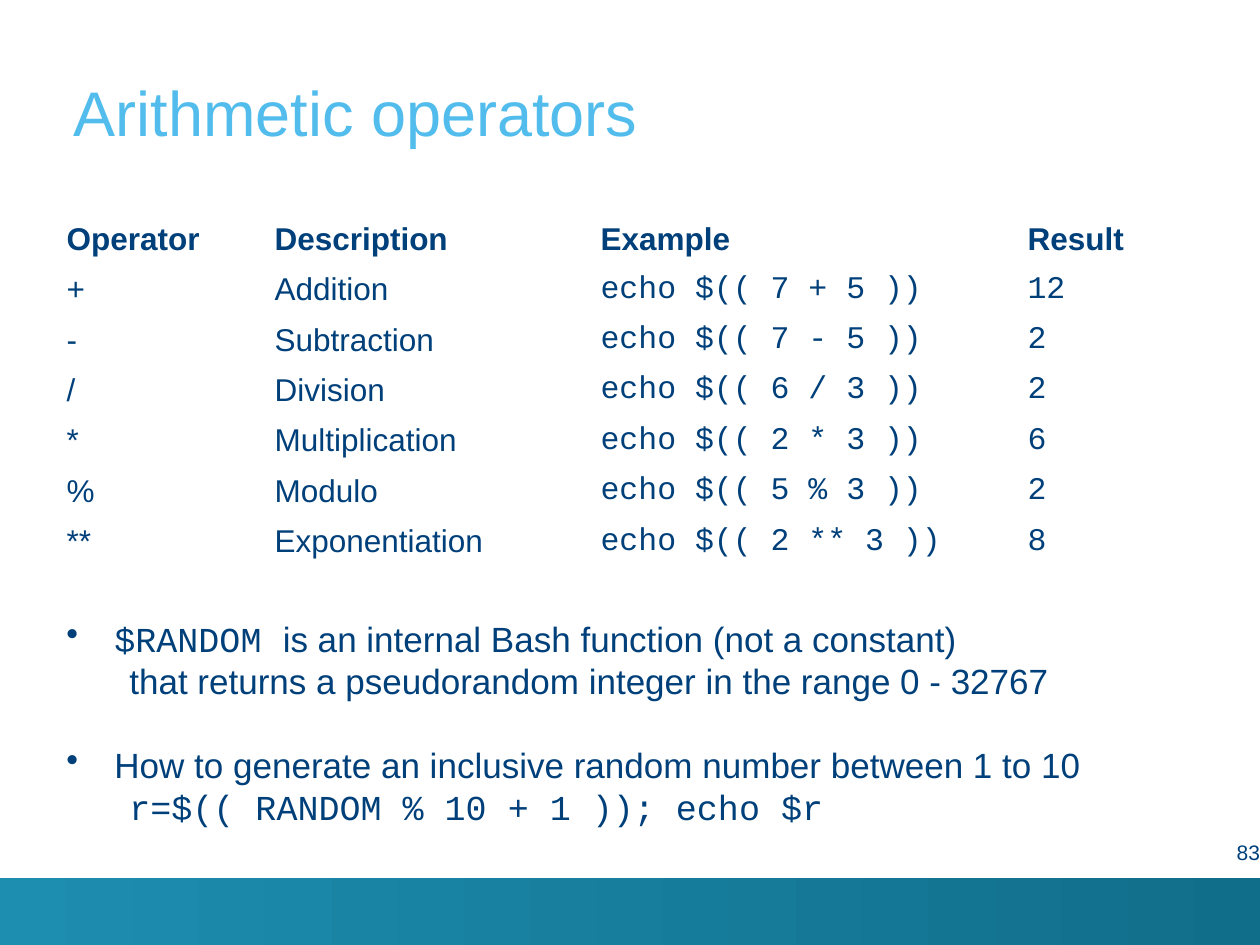
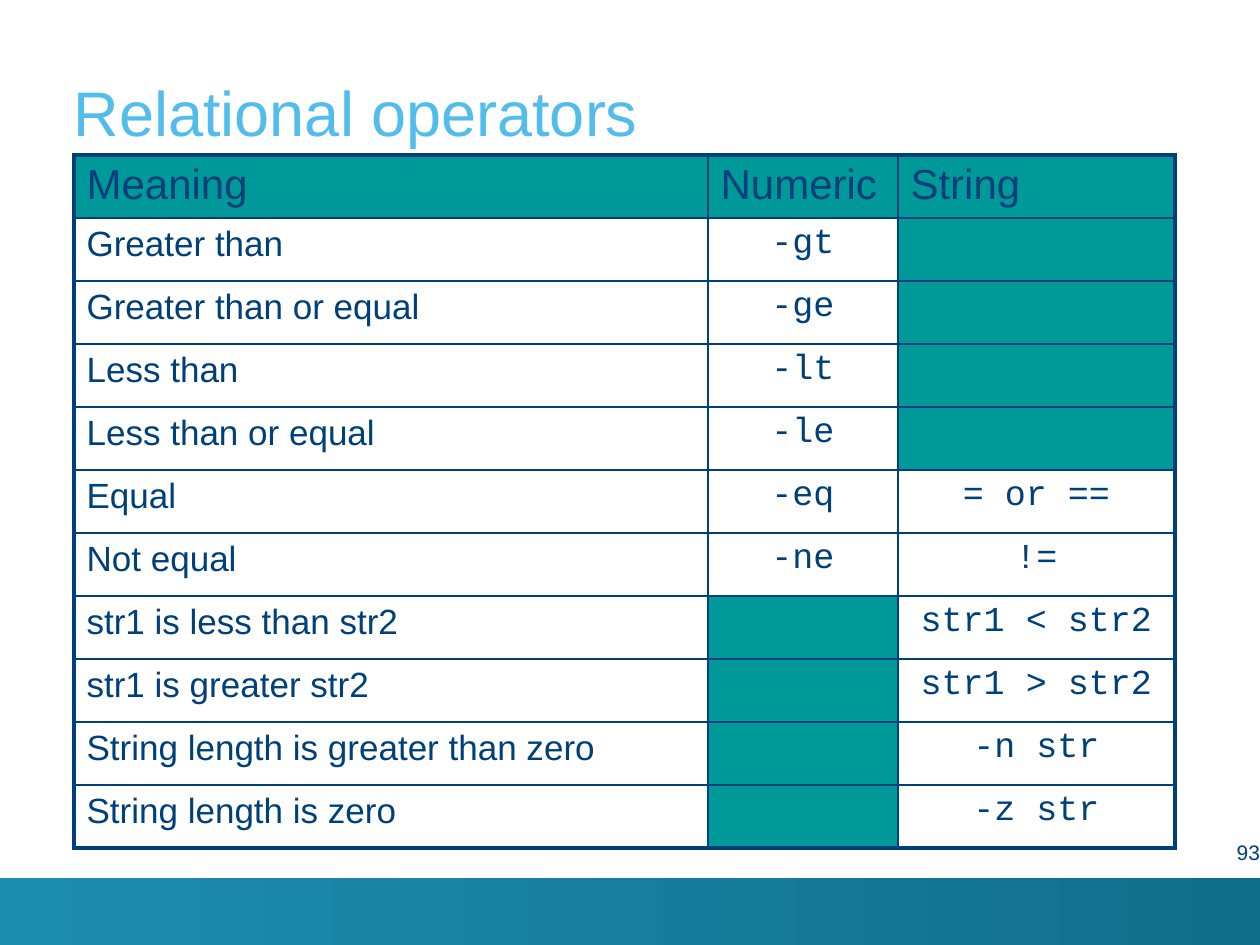
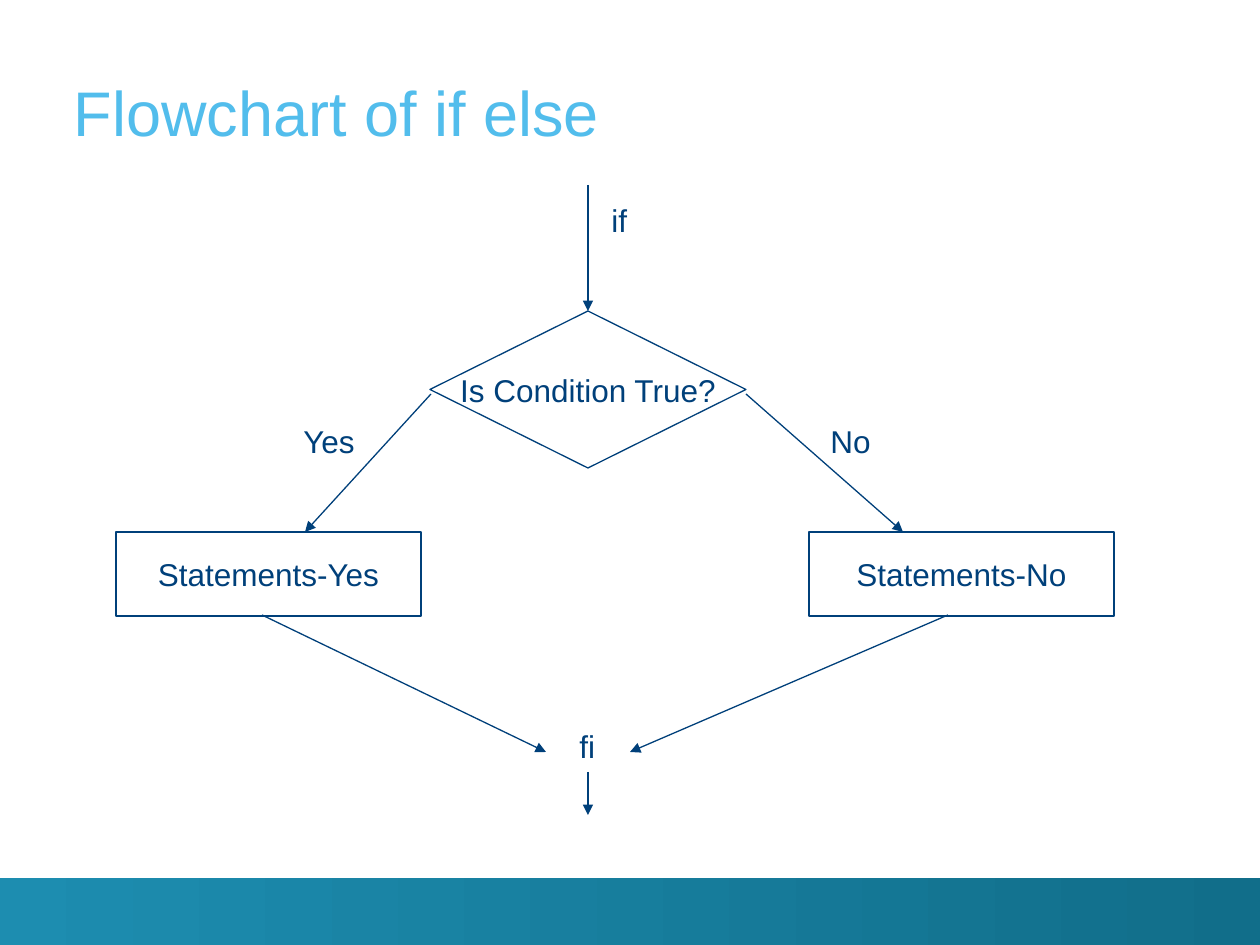
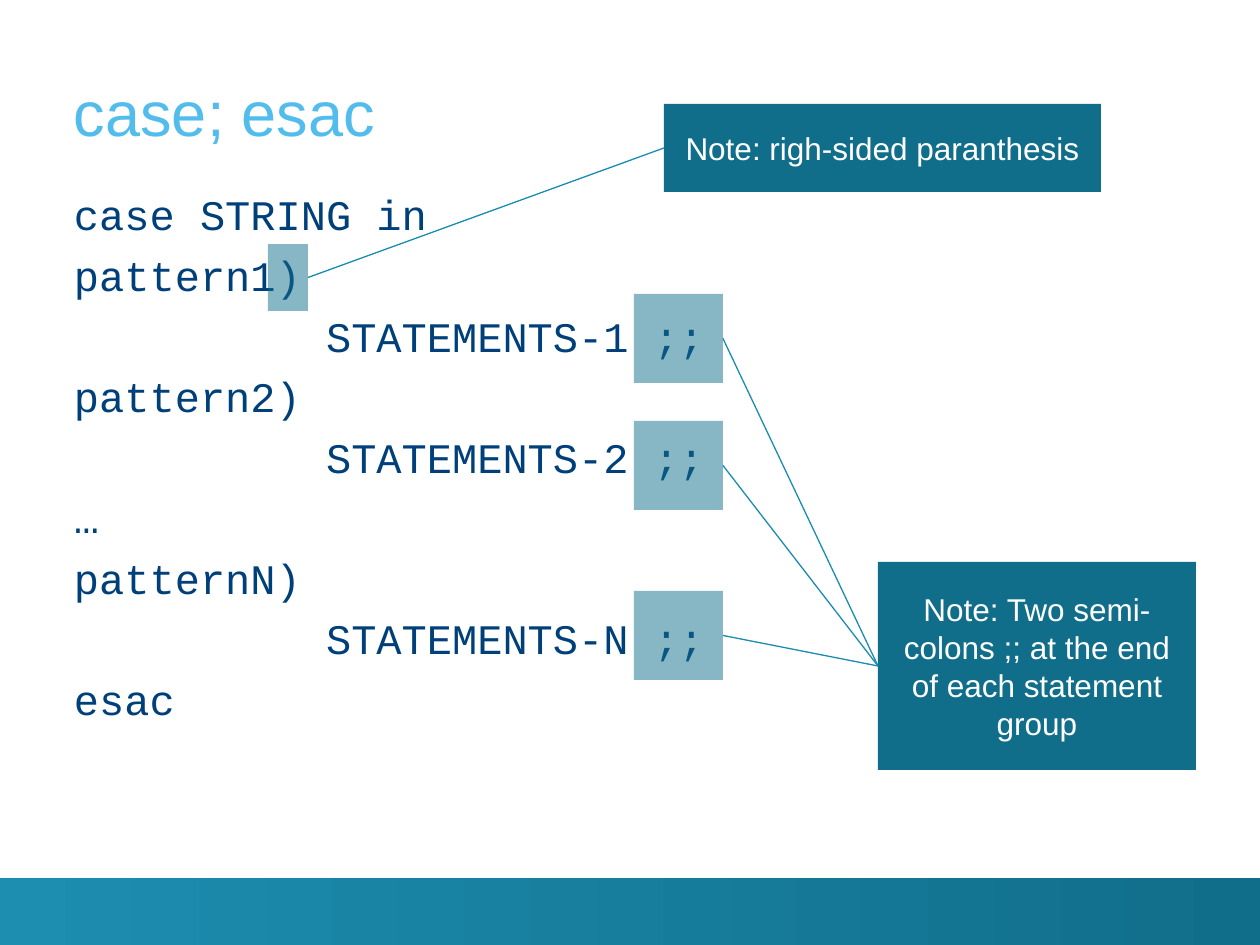
from lxml import etree
from pptx import Presentation
from pptx import util as u
from pptx.dml import color
from pptx.enum import shapes, text
from pptx.oxml import ns

NAVY, SKY, TEAL, WHITE = "00407A", "52BDEC", "009999", "FFFFFF"
OCEAN, LAGOON, THREAD = "116E8A", "1D8DB0", "198CB0"
SANS, MONO = "Arial", "Courier New"
LEFT, CENTER, RIGHT = text.PP_ALIGN.LEFT, text.PP_ALIGN.CENTER, text.PP_ALIGN.RIGHT
TOP, MIDDLE, BOTTOM = text.MSO_ANCHOR.TOP, text.MSO_ANCHOR.MIDDLE, text.MSO_ANCHOR.BOTTOM
PLAIN_TABLE = "{2D5ABB26-0587-4C30-8999-92F81FD0307C}"

PAGE = (1260, 945)
FOOTER_BAND = (0, 878, 1260, 67)
TITLE_BOX = (74, 25, 1148, 124)
NUMBER_BOX = (1131, 840, 129, 39)

BODY = {"size": u.Pt(18), "name": SANS, "bold": False}
TITLE = BODY | {"size": u.Pt(36)}
NUMBER = BODY | {"size": u.Pt(12)}
HEADING = BODY | {"bold": True}
CODE = BODY | {"name": MONO}
POINT = BODY | {"size": u.Pt(20)}
POINT_CODE = POINT | {"name": MONO}
LARGE = BODY | {"size": u.Pt(24)}
LARGE_CODE = LARGE | {"name": MONO}

ARITHMETIC = {
    "at": (54, 214),
    "columns": (208, 326, 427, 187),
    "row": 50.4,
    "rows": [
        ("Operator", "Description", "Example", "Result"),
        ("+", "Addition", "echo $(( 7 + 5 ))", "12"),
        ("-", "Subtraction", "echo $(( 7 - 5 ))", "2"),
        ("/", "Division", "echo $(( 6 / 3 ))", "2"),
        ("*", "Multiplication", "echo $(( 2 * 3 ))", "6"),
        ("%", "Modulo", "echo $(( 5 % 3 ))", "2"),
        ("**", "Exponentiation", "echo $(( 2 ** 3 ))", "8"),
    ],
}
RANDOM_BOX = (54, 611, 1081, 267)
BULLETED, CONTINUED = (48, -48, "•"), (63, 0, None)
RANDOM_POINTS = [
    (BULLETED, 0, [("$RANDOM ", POINT_CODE),
                   ("is an internal Bash function (not a constant)", POINT)]),
    (CONTINUED, 0, [("that returns a pseudorandom integer in the range 0 - 32767", POINT)]),
    (BULLETED, 24, [("How to generate an inclusive random number between 1 to 10", POINT)]),
    (CONTINUED, 0, [("r=$(( RANDOM % 10 + 1 )); echo $r", POINT_CODE)]),
]

RELATIONAL = {
    "at": (74, 155),
    "columns": (634, 190, 277),
    "row": 63,
    "rows": [
        ("Meaning", "Numeric", "String"),
        ("Greater than", "-gt", ""),
        ("Greater than or equal", "-ge", ""),
        ("Less than", "-lt", ""),
        ("Less than or equal", "-le", ""),
        ("Equal", "-eq", "= or =="),
        ("Not equal", "-ne", "!="),
        ("str1 is less than str2", "", "str1 < str2"),
        ("str1 is greater str2", "", "str1 > str2"),
        ("String length is greater than zero", "", "-n str"),
        ("String length is zero", "", "-z str"),
    ],
}

DECISION = ("Is Condition True?", (430, 311, 316, 157))
STATEMENTS = [
    ("Statements-Yes", (116, 532, 305, 84)),
    ("Statements-No", (809, 532, 305, 84)),
]
BRANCH_LABELS = [
    ("if", (599, 195, 48, 63)),
    ("fi", (567, 721, 48, 63)),
    ("Yes", (291, 416, 91, 63)),
    ("No", (818, 416, 76, 63)),
]
ENTRY_ARROW = ((588, 185), (588, 311))
FLOW_ARROWS = [
    ((431, 394), (305, 532)),
    ((746, 394), (903, 532)),
    ((262, 615), (546, 752)),
    ((948, 615), (630, 752)),
    ((588, 772), (588, 815)),
]

CASE_BOX = (74, 189, 1148, 607)
CASE_GAP = 5.8
CASE_CODE = [
    "case STRING in",
    "pattern1)",
    "          STATEMENTS-1 ;;",
    "pattern2)",
    "          STATEMENTS-2 ;;",
    "…",
    "patternN)",
    "          STATEMENTS-N ;;",
    "esac",
]
CASE_NOTES = [
    ("Note: Two semi-colons ;; at the end of each statement group", (878, 562, 318, 208),
     [(634, top, 89, 89) for top in (294, 421, 591)]),
    ("Note: righ-sided paranthesis", (664, 104, 437, 88), [(268, 244, 40, 67)]),
]


def px(length):
    return u.Emu(round(length * 914400 / 126))


def place(box):
    return [px(length) for length in box]


def rgb(value):
    return color.RGBColor.from_string(value)


def assign(target, values):
    for name, value in values.items():
        setattr(target, name, value)


def paint(fill, value):
    fill.solid()
    fill.fore_color.rgb = rgb(value)


def element(parent, tag, **attributes):
    return etree.SubElement(parent, ns.qn(tag), attributes)


def add_run(paragraph, wording, font, ink=NAVY):
    run = paragraph.add_run()
    run.text = wording
    assign(run.font, font)
    run.font.color.rgb = rgb(ink)


def frame_text(shape, anchor=TOP, wrap=True, inset=True):
    frame = shape.text_frame
    assign(frame, {"word_wrap": wrap, "vertical_anchor": anchor})
    if not inset:
        assign(frame, dict.fromkeys(
            ("margin_left", "margin_top", "margin_right", "margin_bottom"), 0))
    return frame


def next_paragraph(frame, index, gap=0):
    paragraph = frame.add_paragraph() if index else frame.paragraphs[0]
    if index and gap:
        paragraph.space_before = u.Pt(gap)
    return paragraph


def write_lines(frame, lines, font, ink=NAVY, align=LEFT, gap=0):
    for index, wording in enumerate(lines):
        paragraph = next_paragraph(frame, index, gap)
        paragraph.alignment = align
        add_run(paragraph, wording, font, ink)


def add_text(slide, box, lines, font, ink=NAVY, align=LEFT, anchor=TOP, inset=True, gap=0):
    frame = frame_text(slide.shapes.add_textbox(*place(box)), anchor, inset=inset)
    write_lines(frame, lines, font, ink, align, gap)


def add_box(slide, box, kind=shapes.MSO_SHAPE.RECTANGLE, fill=None, outline=None):
    shape = slide.shapes.add_shape(kind, *place(box))
    shape.shadow.inherit = False
    if fill:
        paint(shape.fill, fill)
    else:
        shape.fill.background()
    if outline:
        paint(shape.line.fill, outline)
        shape.line.width = u.Pt(0.75)
    else:
        shape.line.fill.background()
    return shape


def add_line(slide, start, end, ink, arrow=False):
    line = slide.shapes.add_connector(shapes.MSO_CONNECTOR.STRAIGHT, *place(start + end))
    paint(line.line.fill, ink)
    line.line.width = u.Pt(0.75)
    properties = line._element.spPr
    if arrow:
        element(properties.find(ns.qn("a:ln")), "a:tailEnd", type="triangle")
    element(properties, "a:effectLst")
    return line


def add_grid(slide, content):
    rows, columns = content["rows"], content["columns"]
    size = (sum(columns), content["row"] * len(rows))
    grid = slide.shapes.add_table(len(rows), len(columns), *place(content["at"] + size)).table
    assign(grid, {"first_row": False, "horz_banding": False})
    grid._tbl.tblPr.find(ns.qn("a:tableStyleId")).text = PLAIN_TABLE
    for column, width in zip(grid.columns, columns):
        column.width = px(width)
    for row in grid.rows:
        row.height = px(content["row"])
    for r, wordings in enumerate(rows):
        for c, wording in enumerate(wordings):
            yield r, c, wording, grid.cell(r, c)


def add_borders(cell, outer_sides):
    properties = cell._tc.get_or_add_tcPr()
    for side in ("L", "R", "T", "B"):
        width = 2.25 if side in outer_sides else 1
        border = element(properties, f"a:ln{side}", w=str(u.Pt(width)))
        element(element(border, "a:solidFill"), "a:srgbClr", val=NAVY)


def start_slide(deck, title, number=None):
    slide = deck.slides.add_slide(deck.slide_layouts[6])
    band = add_box(slide, FOOTER_BAND, fill=OCEAN)
    band.fill.gradient()
    band.fill.gradient_angle = 0
    for stop, ink in zip(band.fill.gradient_stops, (LAGOON, OCEAN)):
        stop.color.rgb = rgb(ink)
    add_text(slide, TITLE_BOX, [title], TITLE, SKY, anchor=BOTTOM, inset=False)
    if number:
        add_text(slide, NUMBER_BOX, [number], NUMBER, align=RIGHT, inset=False)
    return slide


def arithmetic_slide(deck):
    slide = start_slide(deck, "Arithmetic operators", "83")
    for r, c, wording, cell in add_grid(slide, ARITHMETIC):
        cell.fill.background()
        cell.vertical_anchor = MIDDLE
        font = HEADING if r == 0 else CODE if c >= 2 else BODY
        add_run(cell.text_frame.paragraphs[0], wording, font)
    frame = frame_text(slide.shapes.add_textbox(*place(RANDOM_BOX)))
    for index, ((margin, indent, bullet), gap, runs) in enumerate(RANDOM_POINTS):
        paragraph = next_paragraph(frame, index, gap)
        properties = paragraph._p.get_or_add_pPr()
        properties.set("marL", str(px(margin)))
        properties.set("indent", str(px(indent)))
        if bullet:
            element(properties, "a:buChar", char=bullet)
        else:
            paragraph.level = 1
        for wording, font in runs:
            add_run(paragraph, wording, font)


def relational_slide(deck):
    slide = start_slide(deck, "Relational operators", "93")
    last_row, last_column = len(RELATIONAL["rows"]) - 1, len(RELATIONAL["columns"]) - 1
    for r, c, wording, cell in add_grid(slide, RELATIONAL):
        edges = {"L": c == 0, "R": c == last_column, "T": r == 0, "B": r == last_row}
        add_borders(cell, [side for side, outer in edges.items() if outer])
        if r == 0 or not wording:
            paint(cell.fill, TEAL)
        else:
            cell.fill.background()
        if wording:
            paragraph = cell.text_frame.paragraphs[0]
            paragraph.alignment = CENTER if r and c else LEFT
            add_run(paragraph, wording, LARGE if r == 0 else POINT_CODE if c else POINT)


def flowchart_slide(deck):
    slide = start_slide(deck, "Flowchart of if else")
    steps = [(shapes.MSO_SHAPE.FLOWCHART_DECISION, *DECISION)]
    steps += [(shapes.MSO_SHAPE.RECTANGLE, *statement) for statement in STATEMENTS]
    drawn = []
    for kind, wording, box in steps:
        step = add_box(slide, box, kind, outline=NAVY)
        write_lines(frame_text(step, MIDDLE, wrap=False), [wording], BODY, align=CENTER)
        drawn.append(step)
    add_line(slide, *ENTRY_ARROW, NAVY, arrow=True).end_connect(drawn[0], 0)
    for start, end in FLOW_ARROWS:
        add_line(slide, start, end, NAVY, arrow=True)
    for wording, box in BRANCH_LABELS:
        add_text(slide, box, [wording], BODY)


def case_slide(deck):
    slide = start_slide(deck, "case; esac")
    add_text(slide, CASE_BOX, CASE_CODE, LARGE_CODE, inset=False, gap=CASE_GAP)
    for wording, note_box, mark_boxes in CASE_NOTES:
        note = add_box(slide, note_box, fill=OCEAN)
        write_lines(frame_text(note, MIDDLE), [wording], BODY, WHITE, CENTER)
        for mark_box in mark_boxes:
            mark = add_box(slide, mark_box, fill=OCEAN)
            tint = mark._element.spPr.find(ns.qn("a:solidFill"))[0]
            element(tint, "a:alpha", val="50000")
            thread = add_line(slide, mark_box[:2], note_box[:2], THREAD)
            thread.begin_connect(mark, 3)
            thread.end_connect(note, 1)


def main():
    deck = Presentation()
    deck.slide_width, deck.slide_height = place(PAGE)
    for build in (arithmetic_slide, relational_slide, flowchart_slide, case_slide):
        build(deck)
    deck.save("out.pptx")


if __name__ == "__main__":
    main()
